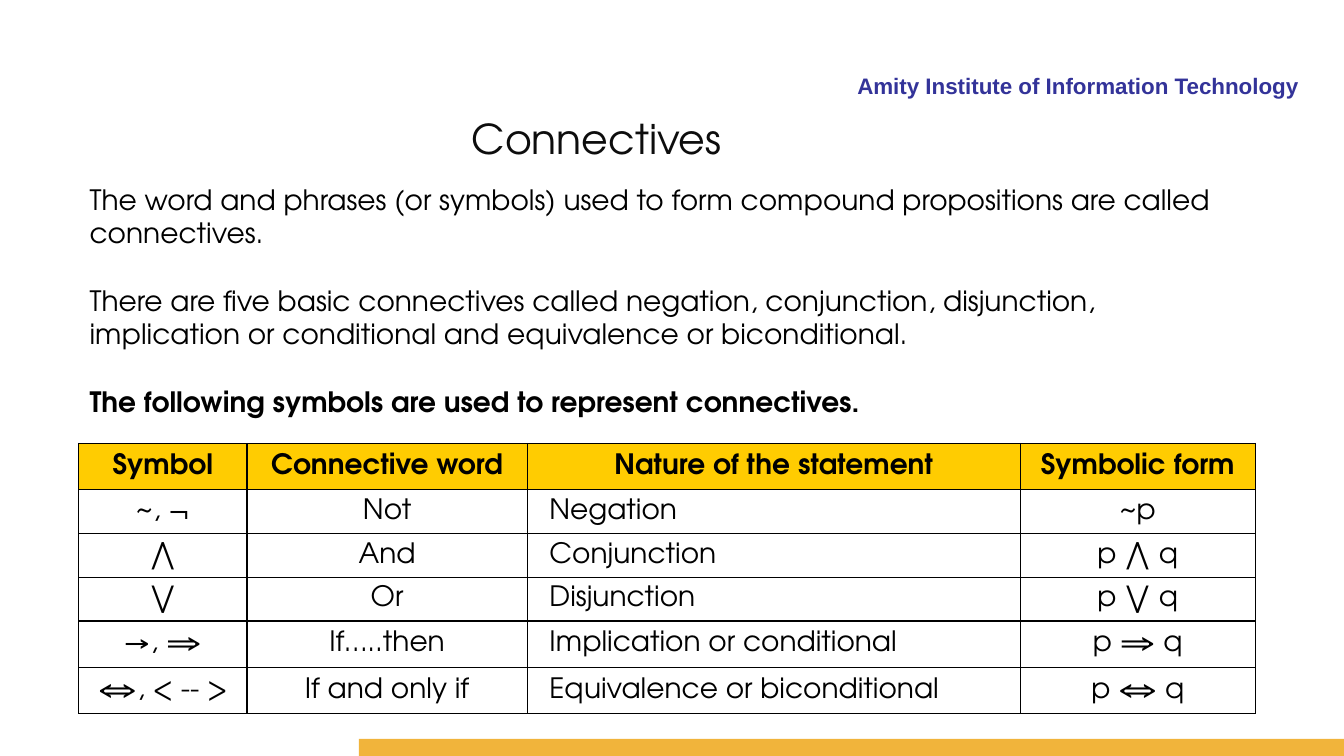
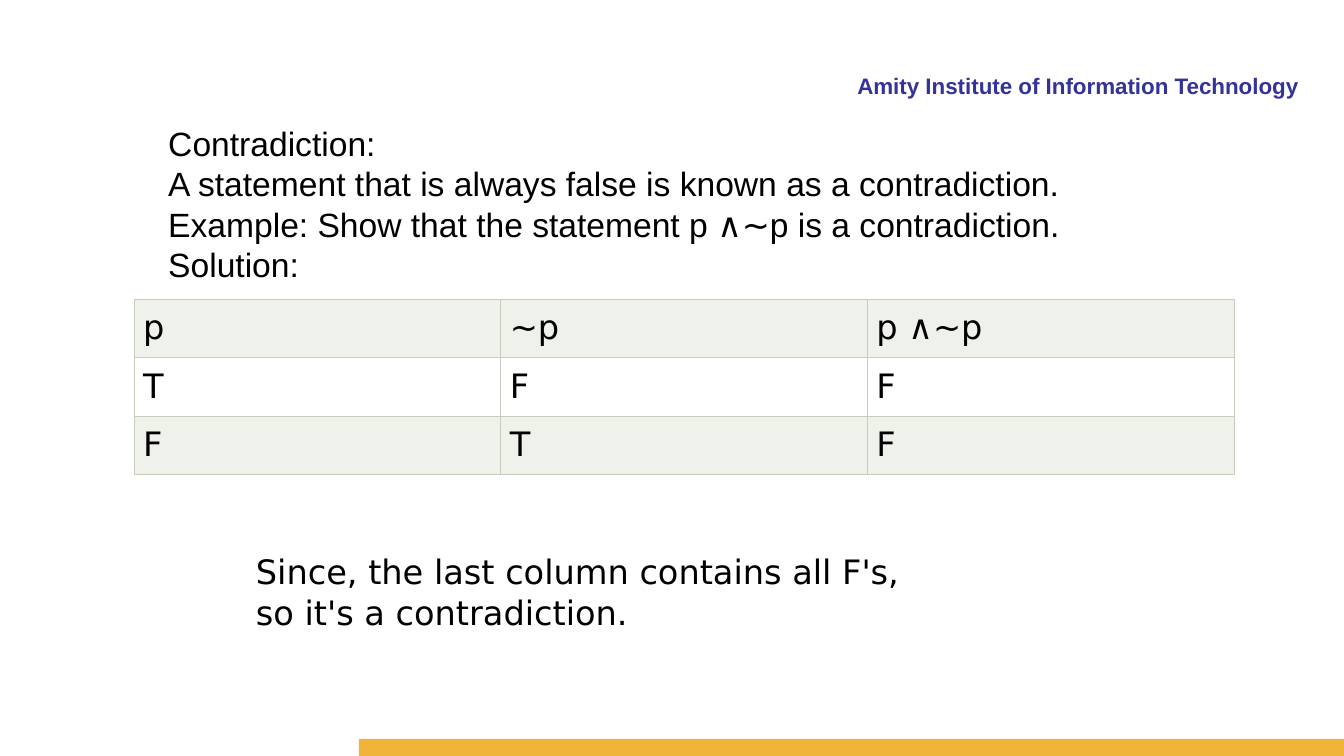
"""Build two slides on logical connectives and contradictions."""
from lxml.etree import SubElement
from pptx import Presentation
from pptx.dml.color import RGBColor
from pptx.enum.shapes import MSO_SHAPE
from pptx.enum.text import MSO_ANCHOR, PP_ALIGN
from pptx.oxml.ns import qn
from pptx.util import Inches, Pt

BLACK = RGBColor(0x00, 0x00, 0x00)
WHITE = RGBColor(0xFF, 0xFF, 0xFF)
TITLE_GREY = RGBColor(0x0D, 0x0D, 0x0D)
HEADER_BLUE = RGBColor(0x33, 0x33, 0x99)
BAND_ORANGE = RGBColor(0xF1, 0xB4, 0x3B)
HEAD_YELLOW = RGBColor(0xFF, 0xCC, 0x01)
ROW_GREEN = RGBColor(0xEF, 0xF1, 0xEB)
BORDER_GREEN = RGBColor(0xC7, 0xCC, 0xBE)
ADVENTOR, ARIAL, DEJAVU = "TeX Gyre Adventor", "Arial", "DejaVu Sans"


def add_text(slide, box, text, font, size, color=BLACK):
    """Add a wrapping text box and return its text frame."""
    frame = slide.shapes.add_textbox(*map(Inches, box)).text_frame
    frame.word_wrap = True
    frame.text = text
    for paragraph in frame.paragraphs:
        paragraph.font.name = font
        paragraph.font.size = Pt(size)
        paragraph.font.color.rgb = color
    return frame


def add_grid(slide, box, rows, widths, heights, font, size, border, line_width):
    """Add a white bordered table and return it."""
    table = slide.shapes.add_table(len(rows), len(widths), *map(Inches, box)).table
    for column, width in zip(table.columns, widths):
        column.width = Inches(width)
    for row, height, texts in zip(table.rows, heights, rows):
        row.height = Inches(height)
        for cell, text in zip(row.cells, texts):
            cell.text = text
            paragraph = cell.text_frame.paragraphs[0]
            paragraph.font.name = font
            paragraph.font.size = Pt(size)
            paragraph.font.bold = False
            paragraph.font.color.rgb = BLACK
            properties = cell._tc.get_or_add_tcPr()
            for side in ("lnL", "lnR", "lnT", "lnB"):
                line = SubElement(properties, qn("a:" + side), w=str(Pt(line_width)))
                fill = SubElement(line, qn("a:solidFill"))
                SubElement(fill, qn("a:srgbClr"), val=str(border))
            cell.fill.solid()
            cell.fill.fore_color.rgb = WHITE
    return table


presentation = Presentation()
presentation.slide_width = Inches(13.33)
presentation.slide_height = Inches(7.5)
slides = [presentation.slides.add_slide(presentation.slide_layouts[6]) for _ in range(2)]
for slide in slides:
    header = add_text(slide, (5.09, 0.67, 7.89, 0.33),
                      "Amity Institute of Information Technology", ARIAL, 16, HEADER_BLUE)
    header.paragraphs[0].alignment = PP_ALIGN.RIGHT
    header.paragraphs[0].font.bold = True
    band = slide.shapes.add_shape(MSO_SHAPE.RECTANGLE, Inches(3.56), Inches(7.33),
                                  Inches(9.77), Inches(0.17))
    band.shadow.inherit = False
    band.fill.solid()
    band.fill.fore_color.rgb = BAND_ORANGE
    band.line.fill.background()

connectives_slide, contradiction_slide = slides

title = add_text(connectives_slide, (4.58, 1.08, 2.72, 0.59), "Connectives",
                 ADVENTOR, 29.3, TITLE_GREY)
title.word_wrap = False
introduction = add_text(
    connectives_slide, (0.79, 1.76, 11.65, 2.46),
    "The word and phrases (or symbols) used to form compound propositions are called connectives.\n"
    "There are five basic connectives called negation, conjunction, disjunction, "
    "implication or conditional and equivalence or biconditional.\n"
    "The following symbols are used to represent connectives.", ADVENTOR, 20)
for paragraph in introduction.paragraphs[1:]:
    paragraph.space_before = Pt(24)
introduction.paragraphs[-1].font.bold = True

connectives = [
    ("Symbol", "Connective word", "Nature of the statement", "Symbolic form"),
    ("~, ¬", "Not", "Negation", "~p"),
    ("⋀", "And", "Conjunction", "p ⋀ q"),
    ("⋁", "Or", "Disjunction", "p ⋁ q"),
    ("→, ⟹", "If…..then", "Implication or conditional", "p ⟹ q"),
    ("⟺, < -- >", "If and only if", "Equivalence or biconditional", "p ⟺ q"),
]
connectives_table = add_grid(
    connectives_slide, (0.78, 4.4, 11.67, 2.69), connectives, (1.67, 2.78, 4.89, 2.33),
    (0.46, 0.43, 0.43, 0.43, 0.46, 0.46), ADVENTOR, 20, BLACK, 1)
for row_index, row in enumerate(connectives_table.rows):
    for column_index, cell in enumerate(row.cells):
        cell.vertical_anchor = MSO_ANCHOR.MIDDLE
        paragraph = cell.text_frame.paragraphs[0]
        if row_index > 0 and column_index == 2:
            paragraph._p.get_or_add_pPr().set("marL", str(Inches(0.12)))
        else:
            paragraph.alignment = PP_ALIGN.CENTER
        if row_index == 0:
            paragraph.font.bold = True
            cell.fill.fore_color.rgb = HEAD_YELLOW

add_text(contradiction_slide, (1.57, 1.17, 10.89, 1.72),
         "Contradiction:\n"
         "A statement that is always false is known as a contradiction.\n"
         "Example: Show that the statement p ∧∼p is a contradiction.\n"
         "Solution:", ARIAL, 24)
truth_values = [("p", "∼p", "p ∧∼p"), ("T", "F", "F"), ("F", "T", "F")]
truth_table = add_grid(contradiction_slide, (1.33, 2.97, 10.91, 1.73), truth_values,
                       [10.91 / 3] * 3, [0.58] * 3, DEJAVU, 24, BORDER_GREEN, 0.6)
for row_index, row in enumerate(truth_table.rows):
    for cell in row.cells:
        cell.margin_left = cell.margin_right = Inches(0.09)
        cell.margin_top = cell.margin_bottom = Inches(0.09)
        if row_index % 2 == 0:
            cell.fill.fore_color.rgb = ROW_GREEN
add_text(contradiction_slide, (2.44, 5.42, 6.67, 0.91),
         "Since, the last column contains all F's, so it's a contradiction.", DEJAVU, 24)

presentation.save("out.pptx")
